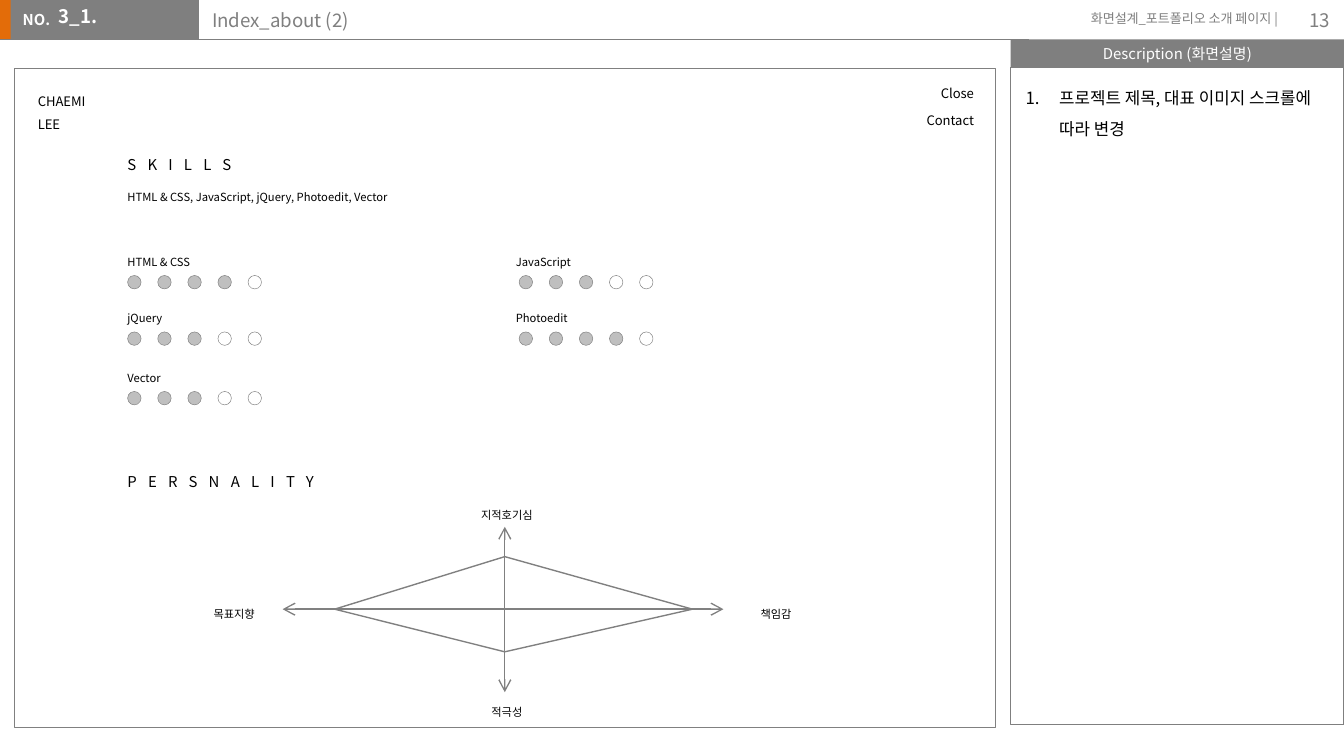
from dataclasses import dataclass
from itertools import pairwise
from typing import Optional

from lxml import etree
from pptx import Presentation, util as u
from pptx.dml.color import RGBColor
from pptx.enum import shapes, text
from pptx.oxml.ns import qn

# The slide is a grid of 100 columns; rows are as tall as columns are wide.
COLS, ROWS = 100, 56.25
CELL = u.Inches(10) // COLS
ALIGN, ANCHOR = text.PP_ALIGN, text.MSO_ANCHOR


@dataclass(frozen=True)
class Theme:
    font: str = "Noto Sans CJK KR"
    accent: str = "E36C09"
    bar: str = "7F7F7F"
    outline: str = "808080"
    dot: str = "BFBFBF"
    white: str = "FFFFFF"
    black: str = "000000"
    title: float = 10
    note: float = 9
    heading: float = 8
    menu: float = 7
    label: float = 6
    hairline: float = 0.25
    rule: float = 0.75


T = Theme()


@dataclass(frozen=True)
class Box:
    """A rectangle in grid columns and rows."""
    col: float
    row: float
    cols: float
    rows: float


@dataclass(frozen=True)
class Style:
    size: float = T.label
    color: str = T.black
    bold: bool = False
    align: ALIGN = ALIGN.LEFT
    anchor: ANCHOR = ANCHOR.TOP
    leading: Optional[float] = None
    tracking: float = 0
    inset: float = 0.5
    grow: bool = False


@dataclass(frozen=True)
class Skill:
    name: str
    level: int
    col: float
    dot_col: float
    row: float


LABEL = Style(leading=1.5, grow=True)
AXIS = Style(leading=1.5, grow=True, align=ALIGN.CENTER)
HEADING = Style(T.heading, leading=1.5, tracking=6, grow=True)
MENU = Style(T.menu, align=ALIGN.RIGHT, grow=True)

LEFT, RIGHT = (8.5, 9.5), (37.4, 38.63)
SKILLS = (
    Skill("HTML & CSS", 4, *LEFT, 18),
    Skill("JavaScript", 3, *RIGHT, 18),
    Skill("jQuery", 3, *LEFT, 22.2),
    Skill("Photoedit", 4, *RIGHT, 22.2),
    Skill("Vector", 3, *LEFT, 26.63),
)
MAX_LEVEL, DOT, DOT_STEP = 5, 1, 2.24


def cells(n: float) -> u.Emu:
    return u.Emu(round(n * CELL))


def place(box: Box) -> tuple:
    return tuple(cells(n) for n in (box.col, box.row, box.cols, box.rows))


def add_text(s, box: Box, lines: str, style: Style):
    sp = s.shapes.add_textbox(*place(box))
    write(sp, lines, style)
    return sp


def write(sp, lines: str, style: Style) -> None:
    tf = sp.text_frame
    tf.word_wrap = True
    tf.vertical_anchor = style.anchor
    tf.margin_left = tf.margin_right = cells(1)
    tf.margin_top = tf.margin_bottom = cells(style.inset)
    if style.grow:
        tf.auto_size = text.MSO_AUTO_SIZE.SHAPE_TO_FIT_TEXT
    for i, line in enumerate(lines.split("\n")):
        p = tf.add_paragraph() if i else tf.paragraphs[0]
        p.alignment = style.align
        if style.leading:
            p.line_spacing = style.leading
        r = p.add_run()
        r.text = line
        r.font.name, r.font.size, r.font.bold = T.font, u.Pt(style.size), style.bold
        r.font.color.rgb = RGBColor.from_string(style.color)
        rPr = r.font._element
        if style.tracking:
            rPr.set("spc", str(round(style.tracking * 100)))
        ea = etree.Element(qn("a:ea"), typeface=T.font)
        rPr.find(qn("a:latin")).addnext(ea)


def indent(sp, left: float, hanging: float, numbered: bool = False) -> None:
    pPr = sp.text_frame.paragraphs[0]._p.get_or_add_pPr()
    pPr.set("marL", str(cells(left)))
    pPr.set("indent", str(-cells(hanging)))
    if numbered:
        etree.SubElement(pPr, qn("a:buFont"), typeface=T.font)
        etree.SubElement(pPr, qn("a:buAutoNum"), type="arabicPeriod")


def add_shape(s, box: Box, fill: Optional[str] = None, line: Optional[str] = None,
              width: float = T.hairline, kind=shapes.MSO_SHAPE.RECTANGLE):
    sp = s.shapes.add_shape(kind, *place(box))
    sp.shadow.inherit = False
    if fill:
        sp.fill.solid()
        sp.fill.fore_color.rgb = RGBColor.from_string(fill)
    else:
        sp.fill.background()
    if line:
        sp.line.color.rgb = RGBColor.from_string(line)
        sp.line.width = u.Pt(width)
    else:
        sp.line.fill.background()
    return sp


def add_line(s, start: tuple, end: tuple, color: str = T.outline, arrows: bool = False) -> None:
    c = s.shapes.add_connector(shapes.MSO_CONNECTOR.STRAIGHT, *map(cells, (*start, *end)))
    c.line.color.rgb = RGBColor.from_string(color)
    c.line.width = u.Pt(T.rule)
    if arrows:
        for tag in ("a:headEnd", "a:tailEnd"):
            etree.SubElement(c.line._get_or_add_ln(), qn(tag), type="arrow")
    etree.SubElement(c._element.spPr, qn("a:effectLst"))


def add_header(s) -> None:
    add_shape(s, Box(-0.1, 0, 1.2, 2.93), T.accent)
    add_shape(s, Box(0.8, 0, 14, 2.93), T.bar)
    add_text(s, Box(0.7, 0.3, 4.5, 2.4), "NO.", Style(T.heading, T.white, bold=True))
    add_line(s, (0, 2.93), (76.6, 2.93), T.bar)
    add_text(s, Box(76.25, 0.3, 19.8, 2.4), "화면설계_포트폴리오 소개 페이지 |",
             Style(T.menu, T.bar, align=ALIGN.RIGHT))
    add_text(s, Box(93.95, 0, 6, 3), "13",
             Style(T.title, T.bar, align=ALIGN.RIGHT, anchor=ANCHOR.MIDDLE))
    number = add_text(s, Box(0.9, -0.45, 11, 3.1), "3_1.",
                      Style(T.title, T.white, bold=True, inset=1))
    indent(number, 5, 2.5)
    add_text(s, Box(14.8, -0.2, 61.4, 3.2), "Index_about (2)", Style(T.title, T.bar, inset=1))


def add_description(s) -> None:
    bar = add_shape(s, Box(75.2, 2.93, 24.8, 2.1), T.bar)
    write(bar, "Description (화면설명)", Style(T.heading, T.white, align=ALIGN.CENTER,
                                           anchor=ANCHOR.MIDDLE, inset=0.4))
    add_shape(s, Box(75.2, 5.03, 24.8, 48.9), line=T.bar, width=T.rule)
    note = add_text(s, Box(75.33, 5.3, 24.67, 48.7),
                    "프로젝트 제목, 대표 이미지 스크롤에 따라 변경", Style(T.note, leading=1.5))
    indent(note, 2.5, 2.5, numbered=True)


def add_skill(s, skill: Skill) -> None:
    add_text(s, Box(skill.col, skill.row, 20, 2.5), skill.name, LABEL)
    for i in range(MAX_LEVEL):
        add_shape(s, Box(skill.dot_col + i * DOT_STEP, skill.row + 2.5, DOT, DOT),
                  T.dot if i < skill.level else T.white, T.outline,
                  kind=shapes.MSO_SHAPE.OVAL)


def add_personality(s) -> None:
    x, y = 37.56, 45.33
    add_line(s, (21.03, y), (53.83, y), arrows=True)
    add_line(s, (x, 39.2), (x, 51.5), arrows=True)
    for col, row, trait in ((34.07, 36.84, "지적호기심"), (13.77, 44.2, "목표지향"),
                            (54.1, 44.2, "책임감"), (34.07, 51.5, "적극성")):
        add_text(s, Box(col, row, 7.3, 2.5), trait, AXIS)
    top, right, bottom, left = (x, 41.42), (51.52, y), (x, 48.5), (24.9, y)
    for start, end in pairwise((top, right, bottom, left, top)):
        add_line(s, start, end)


def main() -> None:
    prs = Presentation()
    prs.slide_width, prs.slide_height = cells(COLS), cells(ROWS)
    s = prs.slides.add_slide(prs.slide_layouts[6])
    add_header(s)
    add_description(s)
    add_shape(s, Box(1.05, 5.1, 73, 49), T.white, T.outline)
    for row, item in ((5.9, "Close"), (7.84, "Contact")):
        add_text(s, Box(67.85, row, 5.6, 2.2), item, MENU)
    add_text(s, Box(1.83, 5.87, 6.6, 4.5), "CHAEMI\nLEE", Style(T.menu, leading=1.5, grow=True))
    add_text(s, Box(8.5, 10.4, 17, 3), "SKILLS", HEADING)
    add_text(s, Box(8.5, 13.2, 39.9, 2.5), ", ".join(k.name for k in SKILLS), LABEL)
    for skill in SKILLS:
        add_skill(s, skill)
    add_text(s, Box(8.5, 34, 18.4, 3), "PERSNALITY", HEADING)
    add_personality(s)
    prs.save("out.pptx")


if __name__ == "__main__":
    main()
